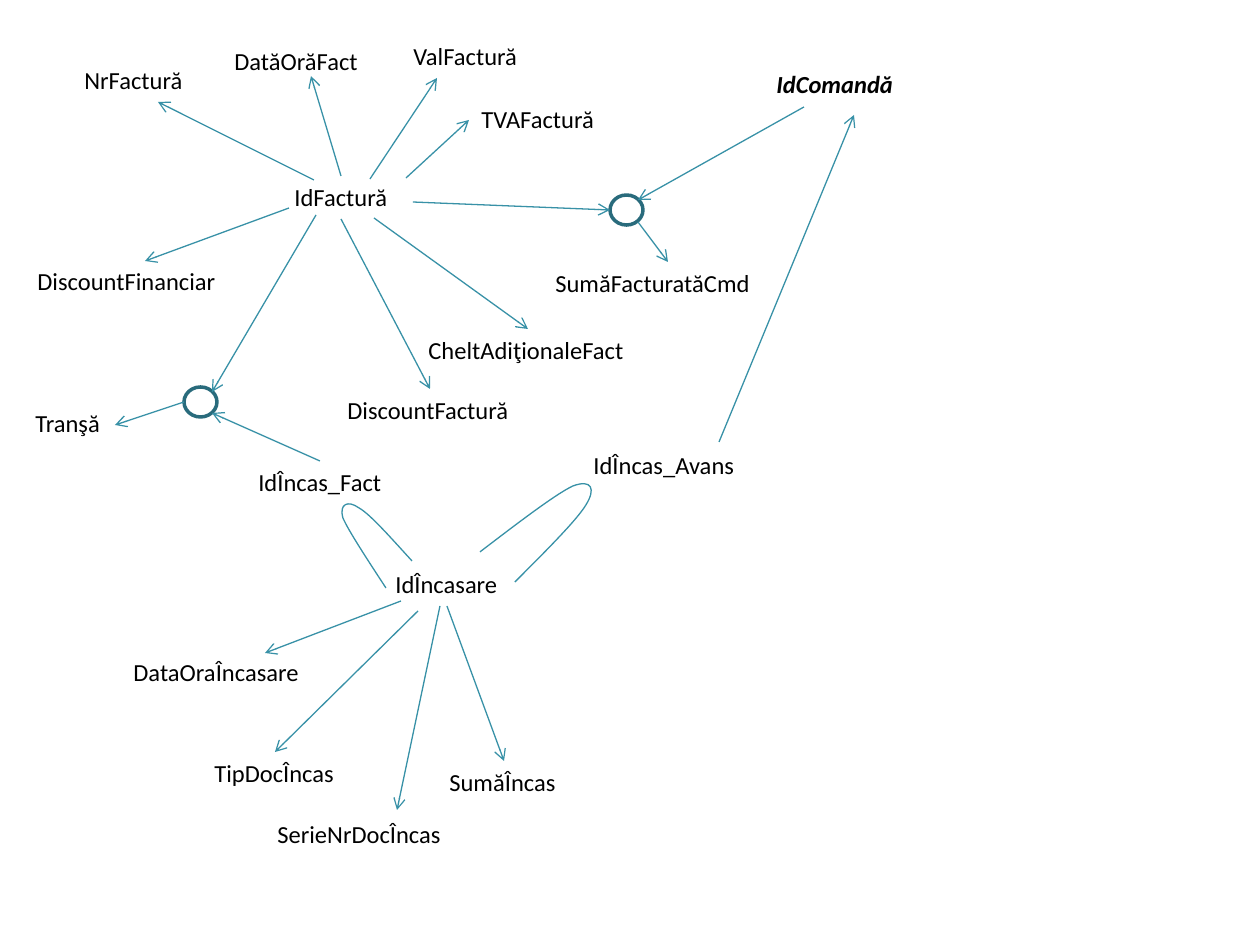
from dataclasses import dataclass

from lxml.etree import SubElement
from pptx import Presentation
from pptx.dml.color import RGBColor
from pptx.enum.shapes import MSO_CONNECTOR, MSO_SHAPE
from pptx.enum.text import MSO_AUTO_SIZE
from pptx.oxml.ns import qn
from pptx.util import Emu, Pt

PX = 914400 / 126
LABEL_H = 43
NODE_W, NODE_H = 33, 30


@dataclass(frozen=True)
class Theme:
    font: str = "Calibri"
    size: int = 14
    text: RGBColor = RGBColor(0x00, 0x00, 0x00)
    line: RGBColor = RGBColor(0x38, 0x91, 0xA7)
    line_w: float = 0.75
    node: RGBColor = RGBColor(0x29, 0x6B, 0x7C)
    node_w: float = 2


THEME = Theme()


def px(n):
    return Emu(round(n * PX))


def at(box, *coords):
    """Turn x, y, x, y... inside a box into slide lengths."""
    return [px(c + box[i % 2]) for i, c in enumerate(coords)]


def set_line(sp, color=THEME.line, width=THEME.line_w):
    sp.line.color.rgb = color
    sp.line.width = Pt(width)


def label(s, box, text, x, y, w, *, bold=None, italic=None, wrap=False):
    sp = s.shapes.add_textbox(*at(box, x, y), px(w), px(LABEL_H))
    tf = sp.text_frame
    tf.word_wrap = wrap
    tf.auto_size = MSO_AUTO_SIZE.SHAPE_TO_FIT_TEXT
    r = tf.paragraphs[0].add_run()
    r.text = text
    r.font.name, r.font.size = THEME.font, Pt(THEME.size)
    r.font.bold, r.font.italic = bold, italic
    r.font.color.rgb = THEME.text


def arrow(s, box, *ends):
    cn = s.shapes.add_connector(MSO_CONNECTOR.STRAIGHT, *at(box, *ends))
    set_line(cn)
    SubElement(cn.line._get_or_add_ln(), qn("a:tailEnd"), type="arrow")
    SubElement(cn._element.spPr, qn("a:effectLst"))


def node(s, box, x, y):
    """Draw the ring where two determinants meet."""
    sp = s.shapes.add_shape(MSO_SHAPE.OVAL, *at(box, x, y), px(NODE_W), px(NODE_H))
    sp.shadow.inherit = False
    sp.fill.background()
    set_line(sp, THEME.node, THEME.node_w)


def loop(s, box, *coords):
    """Draw an open Bezier curve: a start, then three points per segment."""
    flat = at(box, *coords)
    start, *points = zip(flat[::2], flat[1::2])
    fb = s.shapes.build_freeform(*start)
    fb.add_line_segments(points, close=False)
    sp = fb.convert_to_shape()
    sp.shadow.inherit = False
    sp.fill.background()
    set_line(sp)
    steps = list(sp._element.iter(qn("a:lnTo")))
    for i in range(0, len(steps), 3):
        curve = SubElement(steps[i].getparent(), qn("a:cubicBezTo"))
        for step in steps[i:i + 3]:
            curve.append(step[0])
            step.getparent().remove(step)


def invoice(s, box):
    for item in [
        ("IdFactură", 262, 146, 118),
        ("NrFactură", 52, 29, 125),
        ("DatăOrăFact", 202, 10, 150),
        ("ValFactură", 381, 5, 130),
        ("TVAFactură", 449, 68, 140),
        ("DiscountFinanciar", 5, 230, 205),
        ("CheltAdiţionaleFact", 396, 299, 223),
        ("DiscountFactură", 315, 359, 188),
        ("Tranşă", 3, 372, 91),
    ]:
        label(s, box, *item)
    node(s, box, 164, 357)
    for ends in [
        (294, 150, 138, 72),
        (321, 146, 291, 46),
        (350, 149, 417, 48),
        (386, 148, 449, 90),
        (269, 178, 125, 231),
        (354, 188, 508, 299),
        (321, 189, 410, 359),
        (296, 185, 192, 362),
        (300, 431, 192, 383),
        (164, 372, 95, 395),
    ]:
        arrow(s, box, *ends)


def order(s, box):
    label(s, box, "IdComandă", 224, 3, 160, bold=True, italic=True)
    label(s, box, "SumăFacturatăCmd", 3, 202, 249, wrap=True)
    node(s, box, 70, 135)
    for ends in [
        (264, 47, 98, 140),
        (-127, 142, 70, 150),
        (98, 162, 128, 202),
        (179, 382, 314, 55),
    ]:
        arrow(s, box, *ends)


def receipt(s, box):
    for item in [
        ("IdÎncasare", 263, 123, 129),
        ("IdÎncas_Fact", 126, 21, 150),
        ("IdÎncas_Avans", 461, 4, 168),
        ("DataOraÎncasare", 1, 211, 193),
        ("TipDocÎncas", 82, 312, 146),
        ("SerieNrDocÎncas", 145, 373, 190),
        ("SumăÎncas", 317, 321, 132),
    ]:
        label(s, box, *item)
    for ends in [
        (281, 161, 145, 213),
        (298, 171, 155, 312),
        (320, 166, 277, 370),
        (327, 166, 384, 321),
    ]:
        arrow(s, box, *ends)
    loop(s, box, 360, 112, 398, 83, 436, 54, 453, 46,
         472, 39, 476, 49, 466, 65, 457, 80, 426, 111, 395, 142)
    loop(s, box, 266, 148, 247, 119, 228, 90, 223, 78,
         219, 64, 228, 60, 239, 68, 250, 74, 271, 98, 292, 121)


def main():
    prs = Presentation()
    prs.slide_width, prs.slide_height = px(1260), px(945)
    s = prs.slides.add_slide(prs.slide_layouts[6])
    invoice(s, (20, 30))
    order(s, (540, 60))
    receipt(s, (120, 440))
    prs.save("out.pptx")


if __name__ == "__main__":
    main()
